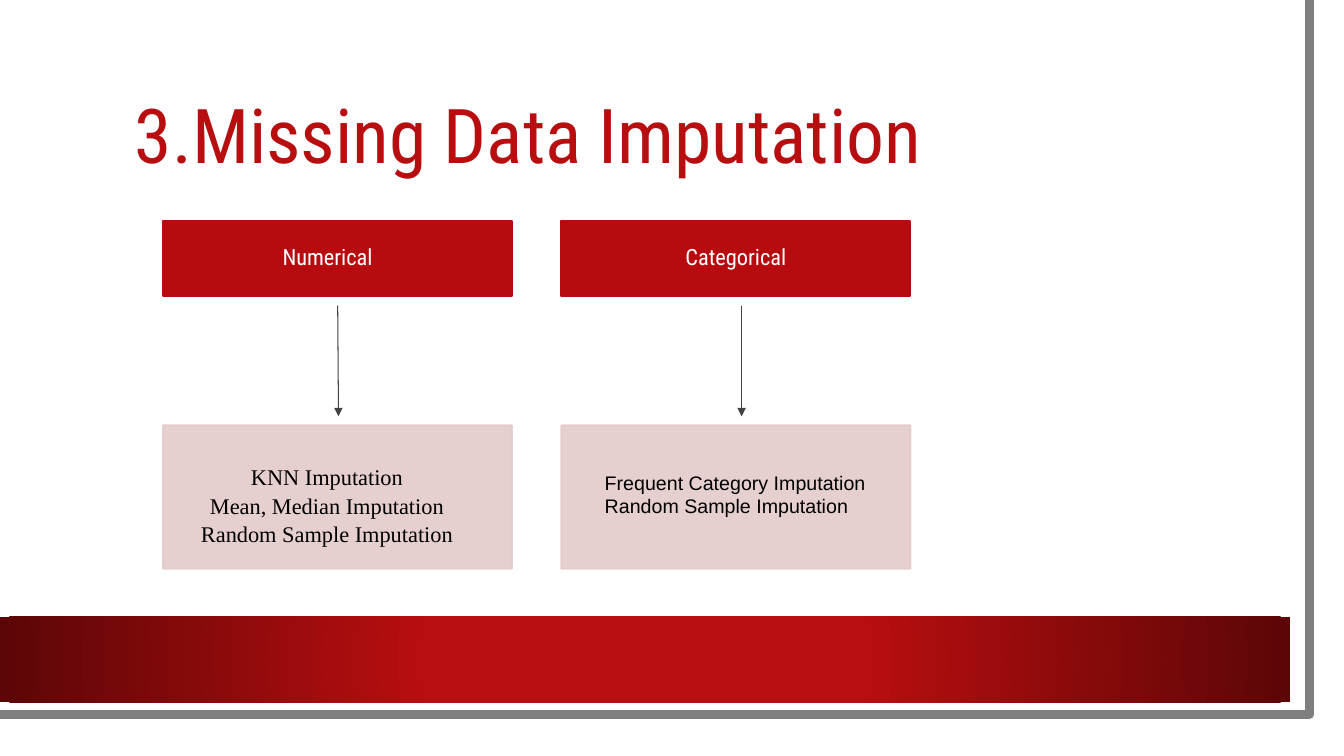
import pptx
import pptx.dml.color
import pptx.enum.shapes
import pptx.enum.text
import pptx.oxml.ns
import pptx.util
from lxml import etree

Cm, Pt, qn = pptx.util.Cm, pptx.util.Pt, pptx.oxml.ns.qn
ALIGN = pptx.enum.text.PP_ALIGN
ANCHOR = pptx.enum.text.MSO_ANCHOR
RECTANGLE = pptx.enum.shapes.MSO_SHAPE.RECTANGLE

# Content: insets are left, top, right, bottom in cm
TITLE = "3.Missing Data Imputation"
COLUMNS = [
    {
        "header": "Numerical",
        "header_insets": (0.3, 0.18, 0.8, 0.18),
        "methods": ["KNN Imputation", "Mean, Median Imputation", "Random Sample Imputation"],
        "format": {"font": "Times New Roman", "size": 16, "align": ALIGN.CENTER,
                   "spacing": 0.9, "before": 3, "insets": (0.23, 1.04, 0.76, 0.2)},
        "arrow_x": (8.51, 8.53),
    },
    {
        "header": "Categorical",
        "header_insets": (0.3, 0.18, 0.3, 0.18),
        "methods": ["Frequent Category Imputation", "Random Sample Imputation"],
        "format": {"font": "Arial", "size": 14, "insets": (1.09, 1.14, 0.2, 0.2)},
        "arrow_x": (18.69, 18.69),
    },
]

# Layout in cm
COLUMN_LEFT, COLUMN_STEP, COLUMN_WIDTH = 4.11, 10.04, 8.79
HEADER_TOP, HEADER_HEIGHT = 5.56, 1.91
BODY_TOP, BODY_HEIGHT = 10.72, 3.61
ARROW_TOP, ARROW_BOTTOM = 7.7, 10.49
FRAME_POINTS = [(32.56, 0), (32.64, 17.83), (-0.08, 17.81)]
BAND_STOPS = [(0, "B80E0F"), (34, "B80E0F"), (100, "5C0607")]


def color(hex_text):
    return pptx.dml.color.RGBColor.from_string(hex_text)


def write(shape, lines, font, size, ink="000000", align=ALIGN.LEFT, anchor=ANCHOR.TOP,
          spacing=1.0, before=0, insets=(0.25, 0.13, 0.25, 0.13)):
    frame = shape.text_frame
    frame.word_wrap = True
    frame.vertical_anchor = anchor
    (frame.margin_left, frame.margin_top,
     frame.margin_right, frame.margin_bottom) = map(Cm, insets)
    for index, line in enumerate(lines):
        paragraph = frame.add_paragraph() if index else frame.paragraphs[0]
        paragraph.alignment = align
        paragraph.line_spacing = spacing
        paragraph.space_before = Pt(before if index else 0)
        run = paragraph.add_run()
        run.text = line
        run.font.name = font
        run.font.size = Pt(size)
        run.font.color.rgb = color(ink)


def add_box(slide, left, top, width, height, fill, opacity=100):
    shape = slide.shapes.add_shape(RECTANGLE, Cm(left), Cm(top), Cm(width), Cm(height))
    shape.shadow.inherit = False
    shape.fill.solid()
    shape.fill.fore_color.rgb = color(fill)
    shape.line.color.rgb = color(fill)
    shape.line.width = Pt(1.5)
    if opacity < 100:
        for tint in shape.element.spPr.iter(qn("a:srgbClr")):
            etree.SubElement(tint, qn("a:alpha"), val=str(opacity * 1000))
    return shape


def add_arrow(slide, start_x, end_x):
    arrow = slide.shapes.add_connector(
        pptx.enum.shapes.MSO_CONNECTOR.STRAIGHT,
        Cm(start_x), Cm(ARROW_TOP), Cm(end_x), Cm(ARROW_BOTTOM))
    arrow.line.color.rgb = color("424242")
    arrow.line.width = Pt(0.75)
    etree.SubElement(arrow.line._get_or_add_ln(), qn("a:tailEnd"), type="triangle")
    etree.SubElement(arrow.element.spPr, qn("a:effectLst"))


def add_frame(slide):
    builder = slide.shapes.build_freeform(*FRAME_POINTS[0], scale=Cm(1))
    builder.add_line_segments(FRAME_POINTS[1:], close=False)
    frame = builder.convert_to_shape()
    frame.shadow.inherit = False
    frame.fill.background()
    frame.line.color.rgb = color("7F7F7F")
    frame.line.width = Pt(6.5)


def add_band(slide):
    band = slide.shapes.add_shape(RECTANGLE, Cm(0), Cm(15.54), Cm(32.51), Cm(2.16))
    band.shadow.inherit = False
    band.line.fill.background()
    band.fill.background()
    # Radial gradient from the centre
    gradient = etree.Element(qn("a:gradFill"), rotWithShape="1")
    stops = etree.SubElement(gradient, qn("a:gsLst"))
    for position, tint in BAND_STOPS:
        stop = etree.SubElement(stops, qn("a:gs"), pos=str(position * 1000))
        etree.SubElement(stop, qn("a:srgbClr"), val=tint)
    circle = etree.SubElement(gradient, qn("a:path"), path="circle")
    etree.SubElement(circle, qn("a:fillToRect"), l="50000", t="50000", r="50000", b="50000")
    properties = band.element.spPr
    properties.replace(properties.find(qn("a:noFill")), gradient)


def main():
    presentation = pptx.Presentation()
    presentation.slide_width, presentation.slide_height = Cm(33.87), Cm(19.05)
    slide = presentation.slides.add_slide(presentation.slide_layouts[6])

    # Backdrop
    add_frame(slide)
    add_band(slide)

    # Title
    title = slide.shapes.add_textbox(Cm(3.15), Cm(1.9), Cm(27), Cm(3.2))
    write(title, [TITLE], "Roboto Condensed", 54, ink="B80E0F",
          anchor=ANCHOR.MIDDLE, spacing=0.9)

    # Columns: header, arrow, methods
    for index, column in enumerate(COLUMNS):
        left = COLUMN_LEFT + index * COLUMN_STEP
        header = add_box(slide, left, HEADER_TOP, COLUMN_WIDTH, HEADER_HEIGHT, "B80B0F")
        write(header, [column["header"]], "Roboto Condensed", 16, ink="FFFFFF",
              align=ALIGN.CENTER, anchor=ANCHOR.MIDDLE, spacing=0.9,
              insets=column["header_insets"])
        body = add_box(slide, left, BODY_TOP, COLUMN_WIDTH, BODY_HEIGHT, "E4CACA", opacity=90)
        write(body, column["methods"], **column["format"])
        add_arrow(slide, *column["arrow_x"])

    presentation.save("out.pptx")


if __name__ == "__main__":
    main()
